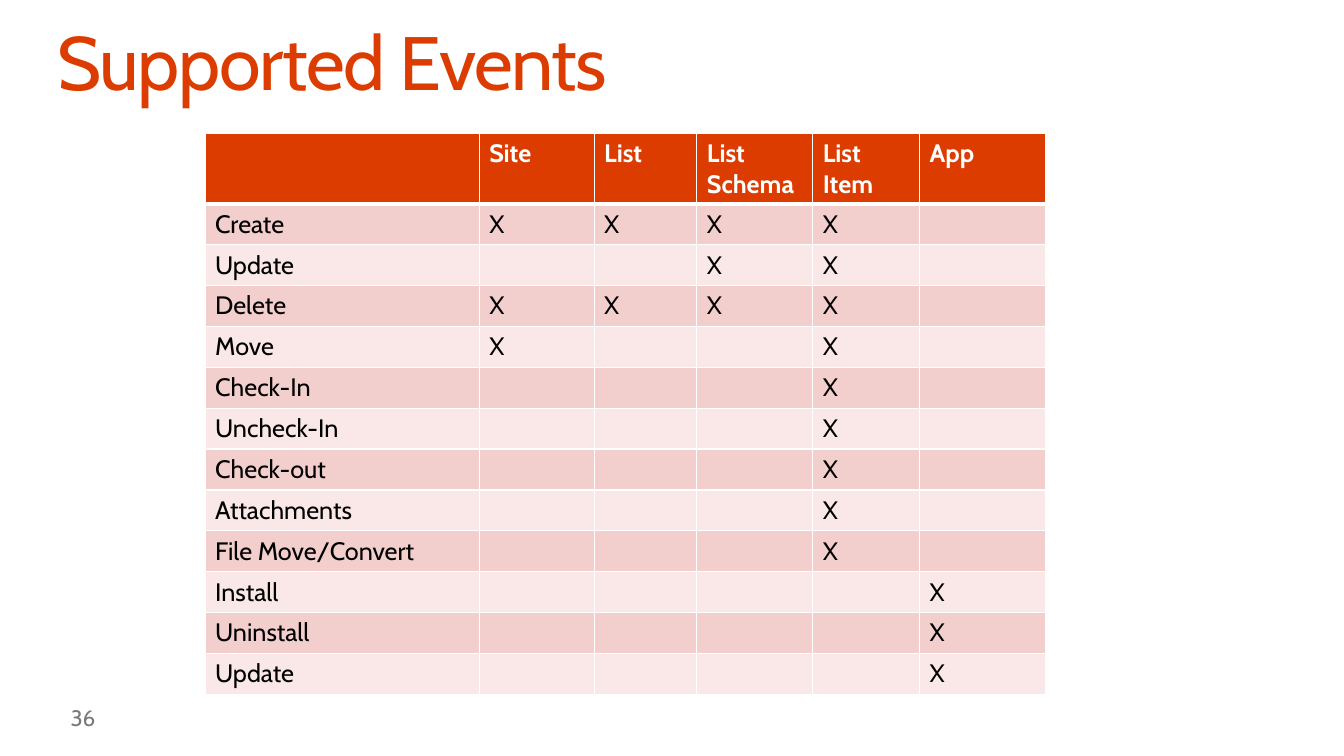
from lxml import etree
from pptx import Presentation
from pptx import util as u
from pptx.dml.color import RGBColor
from pptx.enum import text
from pptx.oxml.ns import qn

COLORS = {"accent": "DC3C00", "white": "FFFFFF", "black": "000000",
          "grey": "797A7D", "dark_band": "F2CECC", "light_band": "F9E8E7"}
HEADERS = ["", "Site", "List", "List \nSchema", "List\nItem", "App"]
EVENTS = [
    ("Create", {"Site", "List", "Schema", "Item"}),
    ("Update", {"Schema", "Item"}),
    ("Delete", {"Site", "List", "Schema", "Item"}),
    ("Move", {"Site", "Item"}),
    ("Check-In", {"Item"}),
    ("Uncheck-In", {"Item"}),
    ("Check-out", {"Item"}),
    ("Attachments", {"Item"}),
    ("File Move/Convert", {"Item"}),
    ("Install", {"App"}),
    ("Uninstall", {"App"}),
    ("Update", {"App"}),
]
SCOPES = ["Site", "List", "Schema", "Item", "App"]
COL_WIDTHS = [195.8, 82.1, 73.4, 82.8, 76.3, 90]
HEADER_HEIGHT, ROW_HEIGHT = 50.6, 29.2


class Deck:
    font = "Cabin"

    def __init__(self, width, height):
        self.prs = Presentation()
        self.prs.slide_width, self.prs.slide_height = u.Pt(width), u.Pt(height)
        self.s = self.prs.slides.add_slide(self.prs.slide_layouts[6])

    def fill_text(self, p, content, size, color, bold=False):
        p.text = content
        for r in p.runs:
            r.font.name, r.font.size, r.font.bold = self.font, u.Pt(size), bold
            r.font.color.rgb = RGBColor.from_string(COLORS[color])

    def label(self, box, content, size, color, inset=(0, 0),
              anchor=text.MSO_ANCHOR.TOP, line=None, tracking=None):
        sp = self.s.shapes.add_textbox(*map(u.Pt, box))
        tf = sp.text_frame
        tf.word_wrap, tf.vertical_anchor = True, anchor
        tf.margin_left = tf.margin_right = u.Pt(inset[0])
        tf.margin_top = tf.margin_bottom = u.Pt(inset[1])
        p = tf.paragraphs[0]
        self.fill_text(p, content, size, color)
        if line:
            p.line_spacing = line
        if tracking:
            for r in p.runs:
                r._r.get_or_add_rPr().set("spc", str(tracking * 100))

    def border(self, cell, widths):
        tc_pr = cell._tc.get_or_add_tcPr()
        for i, (side, width) in enumerate(widths.items()):
            ln = etree.Element(qn("a:ln" + side), w=str(u.Pt(width)))
            fill = etree.SubElement(ln, qn("a:solidFill"))
            etree.SubElement(fill, qn("a:srgbClr"), val=COLORS["white"])
            tc_pr.insert(i, ln)

    def table(self, left, top, rows, widths, heights):
        shape = self.s.shapes.add_table(
            len(rows), len(widths), u.Pt(left), u.Pt(top),
            u.Pt(sum(widths)), u.Pt(sum(heights)))
        tbl = shape.table
        tbl.first_row = tbl.horz_banding = False
        for col, width in zip(tbl.columns, widths):
            col.width = u.Pt(width)
        for i, row in enumerate(rows):
            tbl.rows[i].height = u.Pt(heights[i])
            head = i == 0
            band = "accent" if head else "dark_band" if i % 2 else "light_band"
            for j, content in enumerate(row):
                cell = tbl.cell(i, j)
                cell.fill.solid()
                cell.fill.fore_color.rgb = RGBColor.from_string(COLORS[band])
                self.border(cell, {"L": 1, "R": 1, "T": 3 if i == 1 else 1,
                                   "B": 3 if head else 1})
                if content:
                    self.fill_text(cell.text_frame.paragraphs[0], content, 18,
                                   "white" if head else "black", head)


def main():
    deck = Deck(960, 540)
    deck.label((41, 18, 877.7, 59), "Supported Events", 54, "accent",
               line=0.9, tracking=-1)
    deck.label((41, 504, 43.9, 17.3), "36", 16, "grey", inset=(9.4, 5),
               anchor=text.MSO_ANCHOR.MIDDLE)
    rows = [HEADERS] + [
        [event] + ["X" if scope in scopes else "" for scope in SCOPES]
        for event, scopes in EVENTS]
    heights = [HEADER_HEIGHT] + [ROW_HEIGHT] * len(EVENTS)
    deck.table(146.5, 95, rows, COL_WIDTHS, heights)
    deck.prs.save("out.pptx")


if __name__ == "__main__":
    main()
